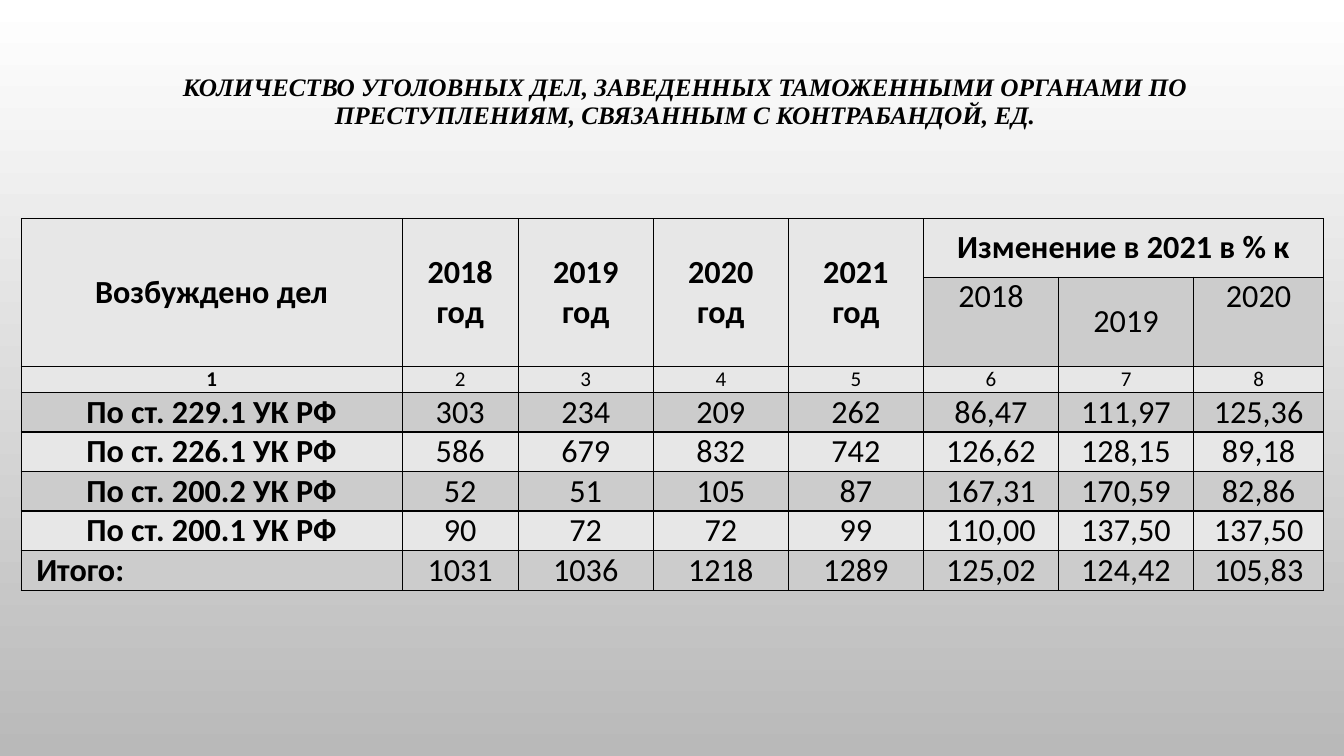
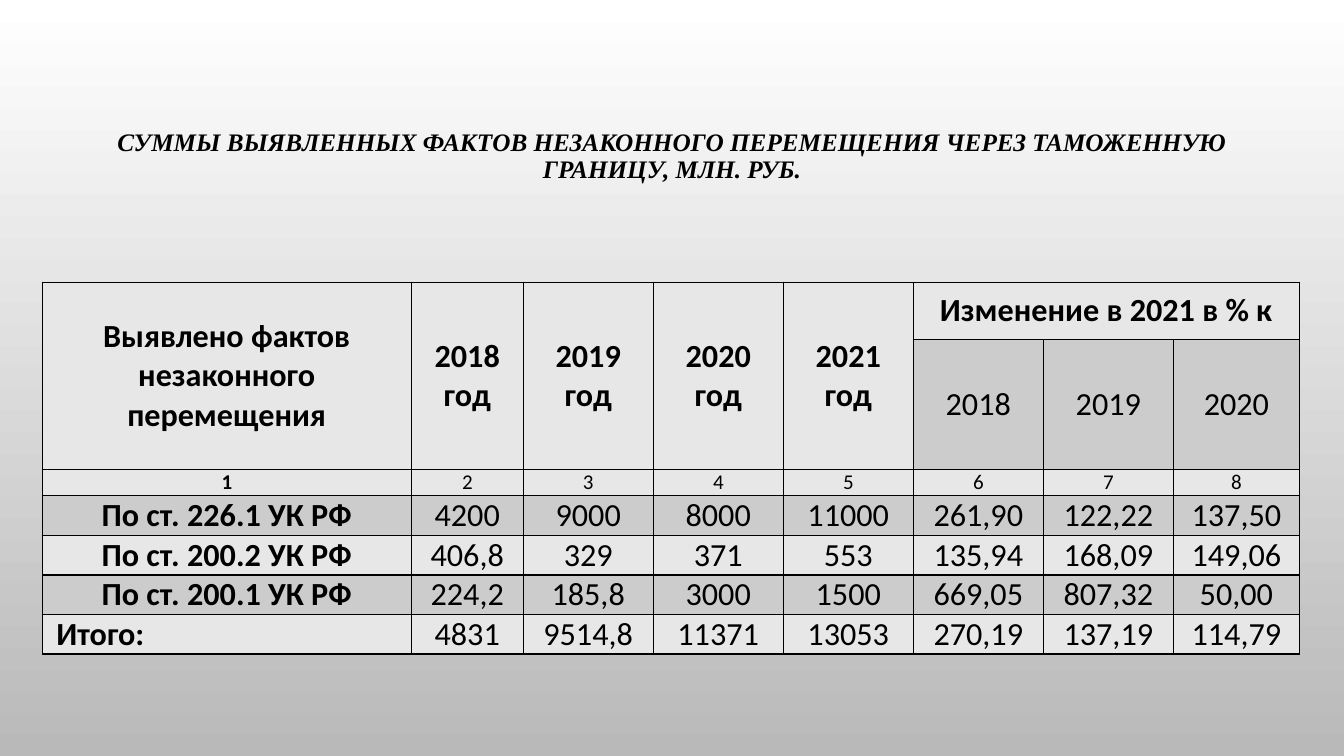
from lxml.etree import SubElement
from pptx import Presentation
from pptx.dml.color import RGBColor
from pptx.enum.text import MSO_ANCHOR, PP_ALIGN
from pptx.oxml.ns import qn
from pptx.util import Inches, Pt

BLACK = RGBColor(0x00, 0x00, 0x00)
WHITE = RGBColor(0xFF, 0xFF, 0xFF)
GREY = RGBColor(0xB9, 0xB9, 0xB9)
LIGHT = RGBColor(0xE7, 0xE7, 0xE7)
DARK = RGBColor(0xCC, 0xCC, 0xCC)

YEARS = ["2018", "2019", "2020"]
HEADS = [f"{year} год" for year in YEARS + ["2021"]]
CHANGE = "Изменение в 2021 в % к"
TOTAL = "Итого:"

CASES = [
    ["По ст. 229.1 УК РФ", "303", "234", "209", "262", "86,47", "111,97", "125,36"],
    ["По ст. 226.1 УК РФ", "586", "679", "832", "742", "126,62", "128,15", "89,18"],
    ["По ст. 200.2 УК РФ", "52", "51", "105", "87", "167,31", "170,59", "82,86"],
    ["По ст. 200.1 УК РФ", "90", "72", "72", "99", "110,00", "137,50", "137,50"],
    [TOTAL, "1031", "1036", "1218", "1289", "125,02", "124,42", "105,83"],
]
SUMS = [
    ["По ст. 226.1 УК РФ", "4200", "9000", "8000", "11000", "261,90", "122,22", "137,50"],
    ["По ст. 200.2 УК РФ", "406,8", "329", "371", "553", "135,94", "168,09", "149,06"],
    ["По ст. 200.1 УК РФ", "224,2", "185,8", "3000", "1500", "669,05", "807,32", "50,00"],
    [TOTAL, "4831", "9514,8", "11371", "13053", "270,19", "137,19", "114,79"],
]


def set_back(master):
    fill = master.background.fill
    fill.gradient()
    fill.gradient_angle = 270
    for stop, color in zip(fill.gradient_stops, (WHITE, GREY)):
        stop.color.rgb = color


def set_font(para, name, size, bold, italic=False):
    font = para.font
    font.name, font.size = name, Pt(size)
    font.bold, font.italic = bold, italic
    font.color.rgb = BLACK


def add_title(slide, text, left, top):
    title = slide.shapes.title
    title.left, title.top = Inches(left), Inches(top)
    title.width, title.height = Inches(11.33), Inches(1.75)
    frame = title.text_frame
    frame.text = text
    frame.word_wrap = True
    frame.vertical_anchor = MSO_ANCHOR.MIDDLE
    para = frame.paragraphs[0]
    para.alignment = PP_ALIGN.CENTER
    para.line_spacing = 0.9
    set_font(para, "Times New Roman", 18, True, True)


def add_edges(cell):
    props = cell._tc.get_or_add_tcPr()
    for side in ("lnL", "lnR", "lnT", "lnB"):
        line = SubElement(props, qn(f"a:{side}"), w=str(Pt(1)))
        fill = SubElement(line, qn("a:solidFill"))
        SubElement(fill, qn("a:srgbClr"), val=str(BLACK))


def style_cell(cell, text, row, col, pad, high):
    """Format one cell; columns listed in high keep their text at the top."""
    head = row == 0
    cell.text = text
    cell.margin_left = cell.margin_right = Inches(0.1 if head else pad)
    cell.margin_top = cell.margin_bottom = Inches(0.05 if head else 0)
    top = not head and col in high
    cell.vertical_anchor = MSO_ANCHOR.TOP if top else MSO_ANCHOR.MIDDLE
    para = cell.text_frame.paragraphs[0]
    para.alignment = PP_ALIGN.LEFT if text == TOTAL else PP_ALIGN.CENTER
    set_font(para, "Calibri", 15 if row == 2 else 23, head or col == 0)
    add_edges(cell)
    cell.fill.solid()
    cell.fill.fore_color.rgb = DARK if row % 2 else LIGHT


def add_grid(slide, box, label, data, widths, heights, pad, high=()):
    rows = [
        [label, *HEADS, CHANGE, "", ""],
        [""] * 5 + YEARS,
        [str(num) for num in range(1, 9)],
        *data,
    ]
    frame = slide.shapes.add_table(len(rows), 8, *map(Inches, box))
    table = frame.table
    table.first_row = table.horz_banding = False
    for col, width in zip(table.columns, widths):
        col.width = Inches(width)
    for row, height in zip(table.rows, heights + [0.39] * len(data)):
        row.height = Inches(height)
    for r, row in enumerate(rows):
        for c, text in enumerate(row):
            style_cell(table.cell(r, c), text, r, c, pad, high)
    for c in range(5):
        table.cell(0, c).merge(table.cell(1, c))
    table.cell(0, 5).merge(table.cell(0, 7))


def add_cases(slide):
    add_title(slide, "КОЛИЧЕСТВО УГОЛОВНЫХ ДЕЛ, ЗАВЕДЕННЫХ ТАМОЖЕННЫМИ ОРГАНАМИ ПО "
              "ПРЕСТУПЛЕНИЯМ, СВЯЗАННЫМ С КОНТРАБАНДОЙ, ЕД.", 1.13, 0.14)
    add_grid(slide, (0.21, 2.17, 12.91, 3.67), "Возбуждено дел", CASES,
             [3.78, 1.15] + [1.34] * 5 + [1.29], [0.58, 0.88, 0.26], 0.15, (5, 7))


def add_sums(slide):
    add_title(slide, "СУММЫ ВЫЯВЛЕННЫХ ФАКТОВ НЕЗАКОННОГО ПЕРЕМЕЩЕНИЯ ЧЕРЕЗ ТАМОЖЕННУЮ "
              "ГРАНИЦУ, МЛН. РУБ.", 1, 0.68)
    add_grid(slide, (0.42, 2.8, 12.49, 3.68), "Выявлено фактов незаконного перемещения",
             SUMS, [3.66, 1.11] + [1.29] * 5 + [1.25], [0.57, 1.29, 0.26], 0.14)


def main():
    prs = Presentation()
    prs.slide_width, prs.slide_height = Inches(13.33), Inches(7.5)
    set_back(prs.slide_master)
    for build in (add_cases, add_sums):
        build(prs.slides.add_slide(prs.slide_layouts[5]))
    prs.save("out.pptx")


if __name__ == "__main__":
    main()
